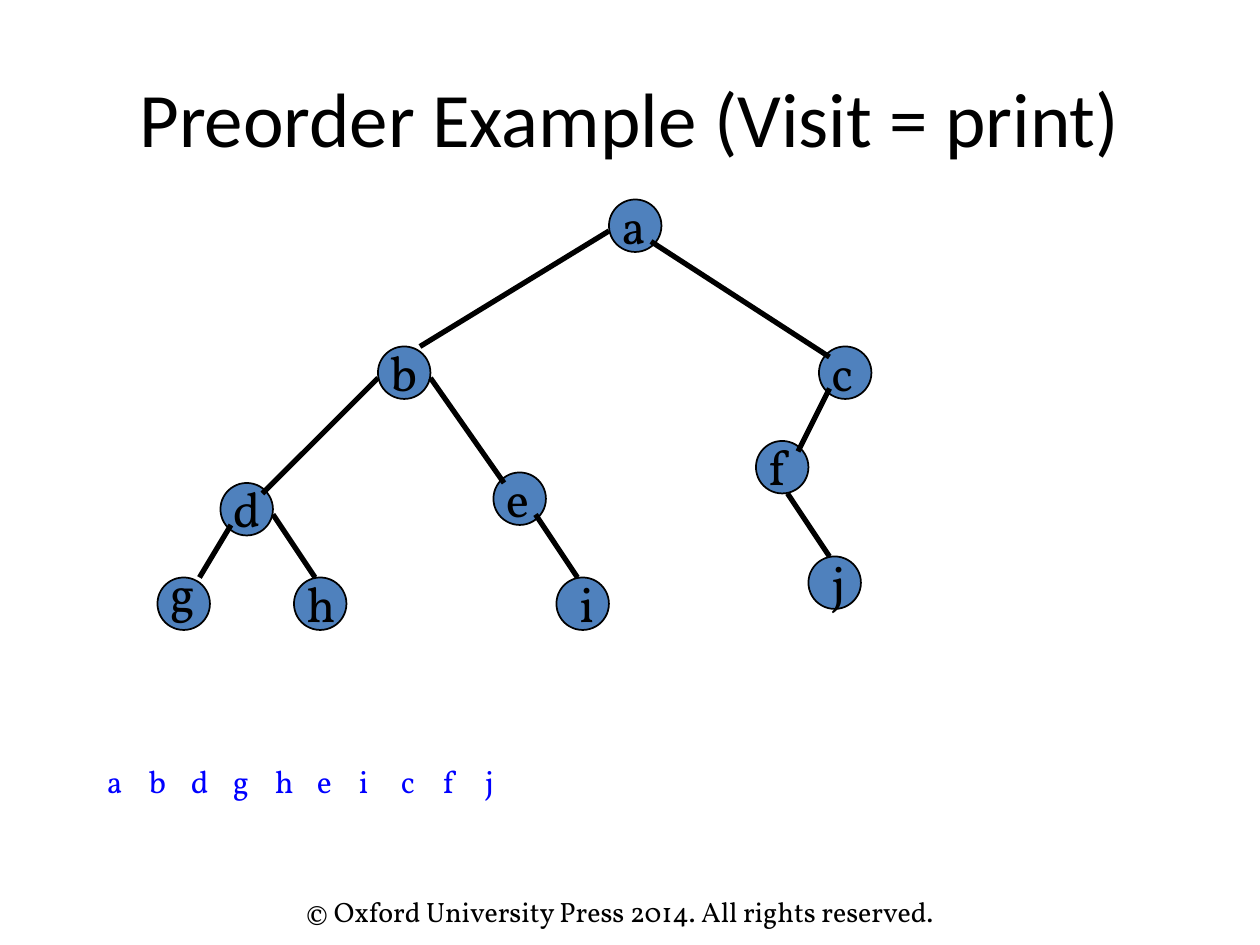
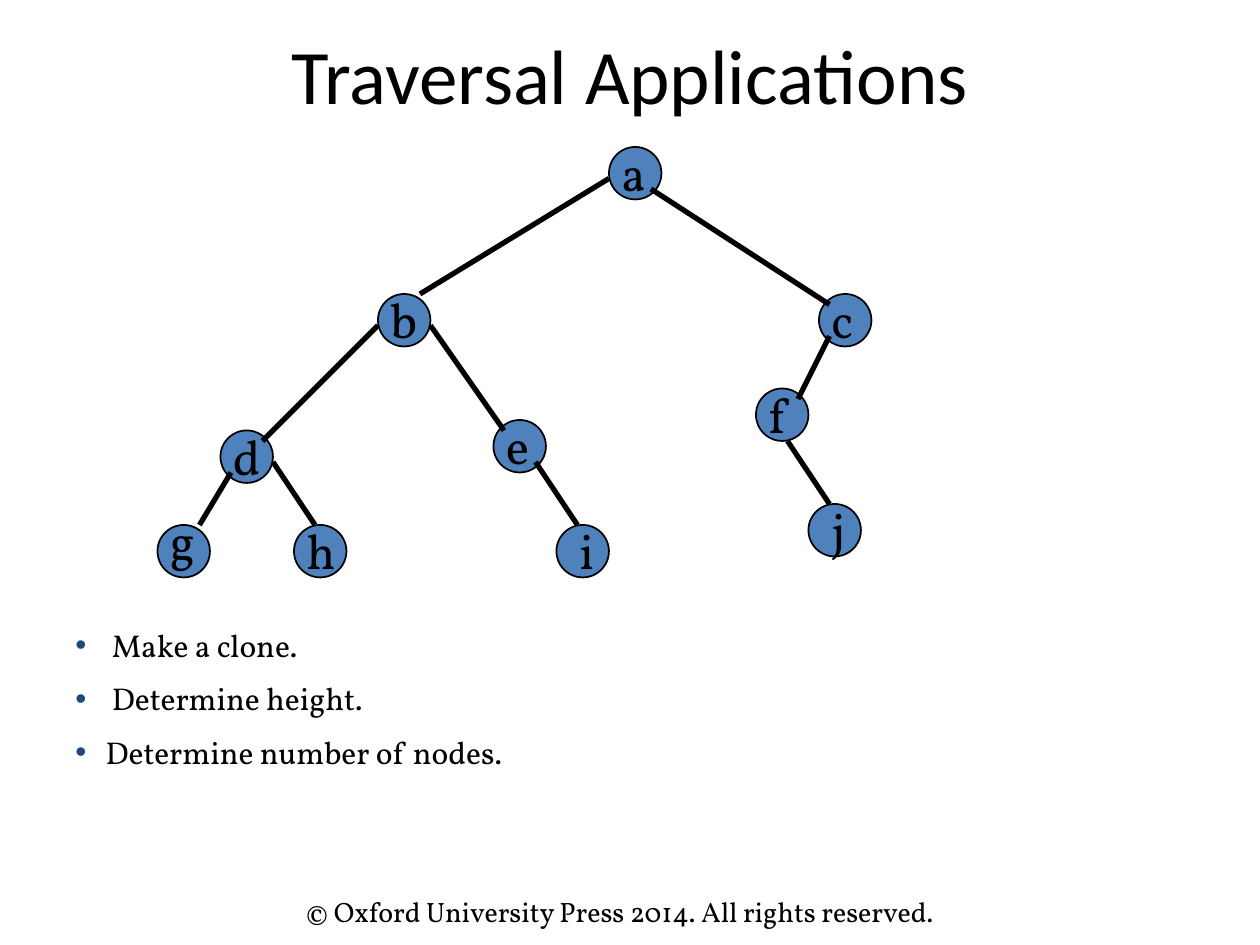
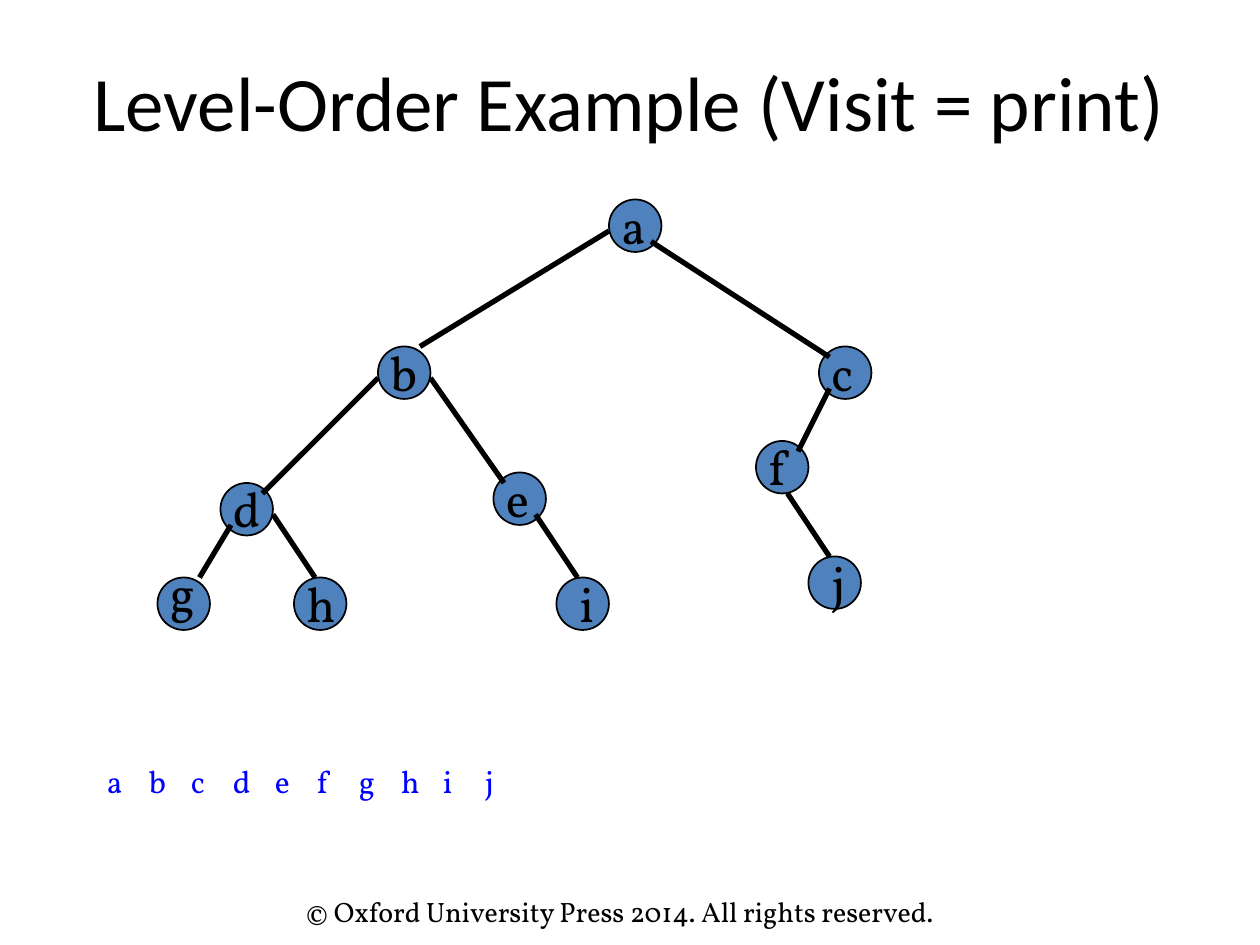
"""Builds three slides on walking a binary tree."""
from dataclasses import dataclass

from lxml.etree import SubElement
from pptx import Presentation
from pptx.dml.color import RGBColor
from pptx.enum.shapes import MSO_CONNECTOR, MSO_SHAPE
from pptx.enum.text import MSO_ANCHOR, PP_ALIGN
from pptx.oxml.ns import qn
from pptx.util import Inches, Pt

BLACK, BLUE, STEEL, NAVY = "000000", "0000FF", "4F81BD", "1F497D"
SERIF, SANS = "Vollkorn", "Calibri"
SIZE = 5


@dataclass(frozen=True)
class Node:
    """A tree node placed in twelfths of an inch."""
    name: str
    left: int
    top: int
    shift: int = 0
    lift: int = 1


@dataclass(frozen=True)
class Edge:
    """A branch between two points in twelfths of an inch."""
    left: int
    top: int
    right: int
    bottom: int


@dataclass(frozen=True)
class Title:
    """A slide title and its box in inches."""
    text: str
    left: float
    top: float
    width: float
    height: float


@dataclass(frozen=True)
class Bullet:
    """A list item and its hanging indent in inches."""
    text: str
    indent: float


NODES = [
    Node("a", 58, 19), Node("b", 36, 33), Node("c", 78, 33),
    Node("d", 21, 46), Node("e", 47, 45), Node("f", 72, 42),
    Node("g", 15, 55, lift=2), Node("h", 28, 55),
    Node("i", 53, 55, shift=1), Node("j", 77, 53, shift=1),
]
EDGES = [
    Edge(58, 22, 40, 33), Edge(62, 23, 79, 34), Edge(36, 36, 25, 47),
    Edge(41, 36, 48, 46), Edge(79, 37, 76, 43), Edge(22, 50, 19, 55),
    Edge(26, 49, 30, 55), Edge(51, 49, 55, 55), Edge(75, 47, 79, 53),
]
USES = [
    Bullet("Make a clone.", 0.29),
    Bullet("Determine height.", 0.29),
    Bullet("Determine number of nodes.", 0.24),
]


def grid(count: int) -> int:
    """Turn twelfths of an inch into a length."""
    return Inches(count / 12)


def color(code: str) -> RGBColor:
    """Turn a hex string into a colour."""
    return RGBColor.from_string(code)


def style(para, size: int, face: str = SERIF, code: str = BLACK) -> None:
    """Set the font of a paragraph."""
    para.font.size = Pt(size)
    para.font.name = face
    para.font.color.rgb = color(code)


def write(shapes, text: str, box: tuple, size: int, face: str = SERIF,
          code: str = BLACK):
    """Add a one-paragraph text box and return its frame."""
    frame = shapes.add_textbox(*box).text_frame
    frame.word_wrap = True
    para = frame.paragraphs[0]
    para.text = text
    style(para, size, face, code)
    return frame


def start(deck, title: Title):
    """Add a slide with the shared footer and its title."""
    slide = deck.slides.add_slide(deck.slide_layouts[6])
    foot = (Inches(2.33), Inches(7.05), Inches(5.92), Inches(0.37))
    write(slide.shapes, "© Oxford University Press 2014. All rights reserved.",
          foot, 16)
    box = (Inches(title.left), Inches(title.top),
           Inches(title.width), Inches(title.height))
    frame = write(slide.shapes, title.text, box, 44, SANS)
    frame.vertical_anchor = MSO_ANCHOR.MIDDLE
    frame.paragraphs[0].alignment = PP_ALIGN.CENTER
    return slide


def circle(shapes, node: Node, rise: int) -> None:
    """Draw the disc of a node."""
    disc = shapes.add_shape(MSO_SHAPE.OVAL, grid(node.left),
                            grid(node.top - rise), grid(SIZE), grid(SIZE))
    disc.shadow.inherit = False
    disc.fill.solid()
    disc.fill.fore_color.rgb = color(STEEL)
    disc.line.color.rgb = color(BLACK)
    disc.line.width = Pt(1)


def branch(shapes, edge: Edge, rise: int) -> None:
    """Draw a branch of the tree."""
    line = shapes.add_connector(
        MSO_CONNECTOR.STRAIGHT, grid(edge.left), grid(edge.top - rise),
        grid(edge.right), grid(edge.bottom - rise))
    line.line.color.rgb = color(BLACK)
    line.line.width = Pt(3)
    SubElement(line._element.spPr, qn("a:effectLst"))


def label(shapes, node: Node, rise: int) -> None:
    """Write the letter of a node."""
    box = (grid(node.left + node.shift), grid(node.top - node.lift - rise),
           grid(10), Inches(0.57))
    write(shapes, node.name, box, 28)


def tree(slide, rise: int = 0) -> None:
    """Draw the whole tree as a group."""
    shapes = slide.shapes.add_group_shape().shapes
    for node in NODES:
        circle(shapes, node, rise)
    for edge in EDGES:
        branch(shapes, edge, rise)
    for node in NODES:
        label(shapes, node, rise)


def visit(slide, order: str) -> None:
    """Write the letters in visiting order."""
    for step, name in enumerate(order):
        box = (grid(9 + 4 * step), Inches(6), grid(SIZE), Inches(0.63))
        write(slide.shapes, name, box, 18, code=BLUE)


def listing(slide, items: list[Bullet]) -> None:
    """Write a bulleted list below the tree."""
    frame = slide.shapes.add_textbox(
        Inches(0.5), grid(59), grid(85), Inches(2.23)).text_frame
    frame.word_wrap = True
    for place, item in enumerate(items):
        para = frame.add_paragraph() if place else frame.paragraphs[0]
        para.text = item.text
        if place:
            para.space_before = Pt(9)
        props = para._p.get_or_add_pPr()
        props.set("marL", str(Inches(item.indent)))
        props.set("indent", str(-Inches(item.indent)))
        tint = SubElement(props, qn("a:buClr"))
        SubElement(tint, qn("a:srgbClr"), val=NAVY)
        SubElement(props, qn("a:buFont"), typeface="Arial")
        SubElement(props, qn("a:buChar"), char="•")
        style(para, 18)


def main() -> None:
    """Build and save the deck."""
    deck = Presentation()
    deck.slide_width, deck.slide_height = Inches(10), Inches(7.5)

    slide = start(deck, Title("Preorder Example (Visit = print)",
                              0.5, 0.3, 9, 1.25))
    tree(slide)
    visit(slide, "abdgheicfj")

    slide = start(deck, Title("Traversal Applications", 0.75, 0.17, 8.5, 0.83))
    tree(slide, rise=5)
    listing(slide, USES)

    slide = start(deck, Title("Level-Order Example (Visit = print)",
                              0.33, 0.17, 9.33, 1.25))
    tree(slide)
    visit(slide, "abcdefghij")

    deck.save("out.pptx")


if __name__ == "__main__":
    main()
